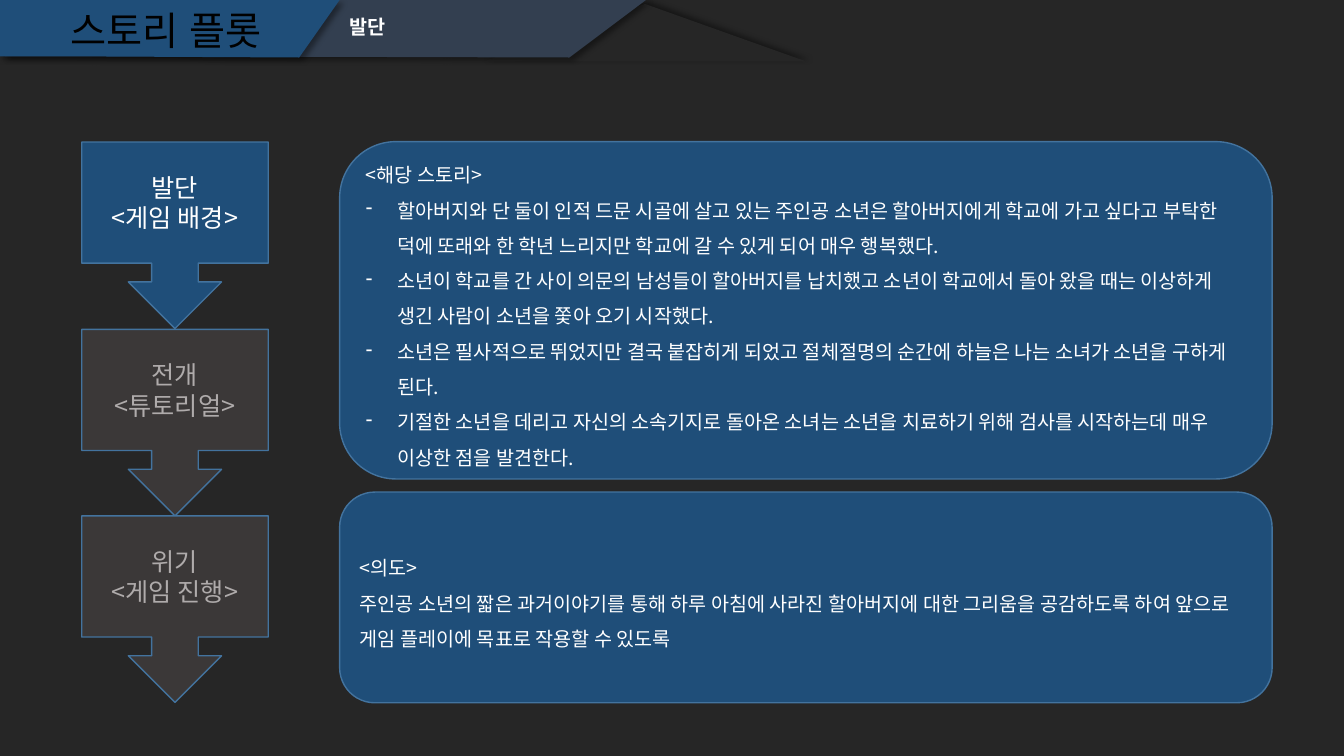
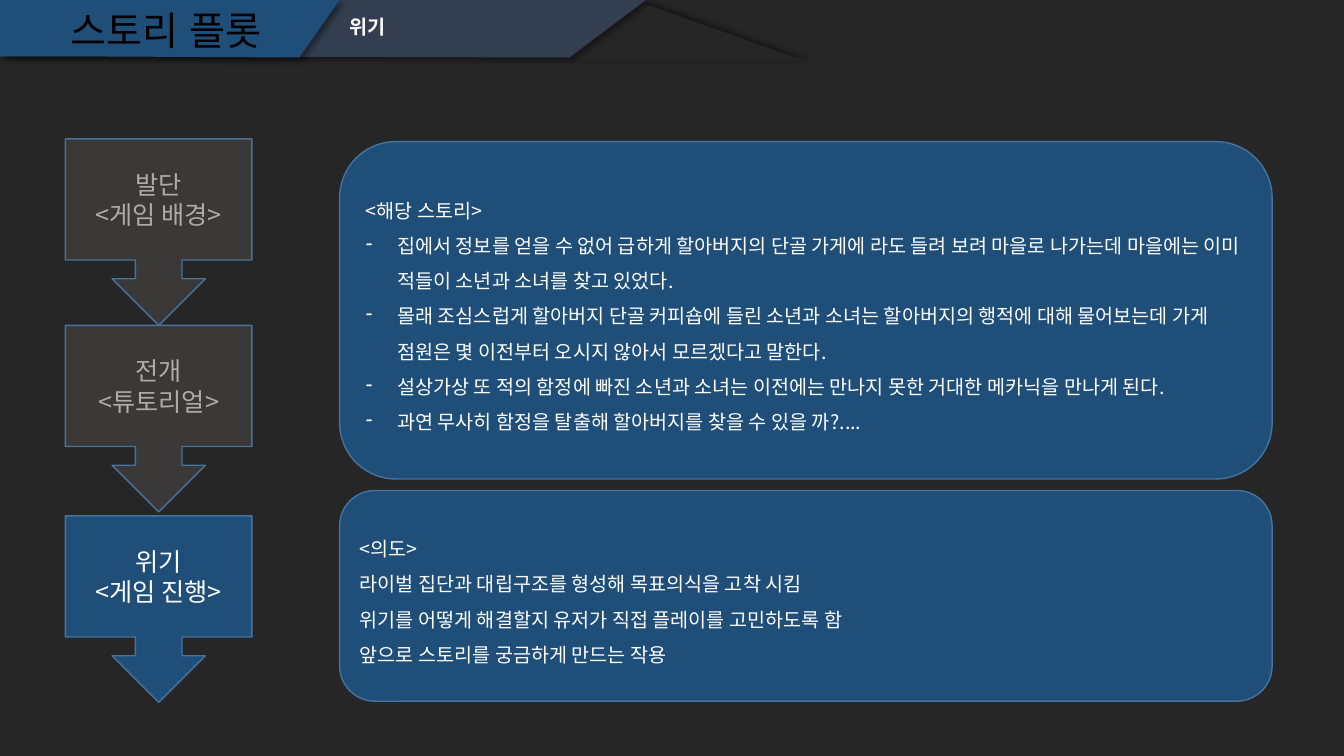
"""Build two story plot slides with a step flow, the story and its intent."""
from lxml.etree import SubElement
from pptx import Presentation
from pptx.dml.color import RGBColor
from pptx.enum.shapes import MSO_SHAPE as Shape
from pptx.enum.text import MSO_ANCHOR as Anchor, PP_ALIGN as Align
from pptx.oxml.ns import qn
from pptx.util import Cm, Pt

COLORS = {
    "background": "262626",
    "blue": "1F4E79",
    "slate": "333F50",
    "gray": "3B3838",
    "outline": "43739E",
    "white": "FFFFFF",
    "dim": "AFABAB",
    "black": "000000",
}
BODY_FONT = "Noto Sans CJK KR"
HEAD_FONT = "Arial"

TITLE = "스토리 플롯"
STEPS = [("발단", "<게임 배경>"), ("전개", "<튜토리얼>"), ("위기", "<게임 진행>")]
BANDS = [
    ("slate", [(0.13, 0), (16.28, 0), (14.35, 1.45), (3.5, 1.42), (0.13, 1.42)]),
    ("blue", [(0, 0), (8.56, 0), (7.54, 1.45), (1.78, 1.42), (0, 1.42)]),
]
STEP_SIZE = 4.7
PANEL_LEFT, PANEL_WIDTH = 8.56, 23.5
STORY_TOP, STORY_HEIGHT = 3.57, 8.5
INTENT_HEIGHT = 5.31

SLIDES = [
    {
        "active": 0,
        "step_left": 2.06,
        "step_tops": (3.58, 8.3, 13),
        "intent_top": 12.4,
        "story": [
            "할아버지와 단 둘이 인적 드문 시골에 살고 있는 주인공 소년은 할아버지에게 학교에 가고 싶다고 부탁한 덕에 또래와 한 학년 느리지만 학교에 갈 수 있게 되어 매우 행복했다.",
            "소년이 학교를 간 사이 의문의 남성들이 할아버지를 납치했고 소년이 학교에서 돌아 왔을 때는 이상하게 생긴 사람이 소년을 쫓아 오기 시작했다.",
            "소년은 필사적으로 뛰었지만 결국 붙잡히게 되었고 절체절명의 순간에 하늘은 나는 소녀가 소년을 구하게 된다.",
            "기절한 소년을 데리고 자신의 소속기지로 돌아온 소녀는 소년을 치료하기 위해 검사를 시작하는데 매우 이상한 점을 발견한다.",
        ],
        "intent": [
            "주인공 소년의 짧은 과거이야기를 통해 하루 아침에 사라진 할아버지에 대한 그리움을 공감하도록 하여 앞으로 게임 플레이에 목표로 작용할 수 있도록",
        ],
    },
    {
        "active": 2,
        "step_left": 1.65,
        "step_tops": (3.5, 8.2, 13),
        "intent_top": 12.36,
        "story": [
            "집에서 정보를 얻을 수 없어 급하게 할아버지의 단골 가게에 라도 들려 보려 마을로 나가는데 마을에는 이미 적들이 소년과 소녀를 찾고 있었다.",
            "몰래 조심스럽게 할아버지 단골 커피숍에 들린 소년과 소녀는 할아버지의 행적에 대해 물어보는데 가게 점원은 몇 이전부터 오시지 않아서 모르겠다고 말한다.",
            "설상가상 또 적의 함정에 빠진 소년과 소녀는 이전에는 만나지 못한 거대한 메카닉을 만나게 된다.",
            "과연 무사히 함정을 탈출해 할아버지를 찾을 수 있을 까?....",
        ],
        "intent": [
            "라이벌 집단과 대립구조를 형성해 목표의식을 고착 시킴",
            "위기를 어떻게 해결할지 유저가 직접 플레이를 고민하도록 함",
            "앞으로 스토리를 궁금하게 만드는 작용",
        ],
    },
]


def rgb(name):
    """Return the named colour."""
    return RGBColor.from_string(COLORS[name])


def paint(shape, fill, line=None):
    """Set a shape's fill and outline and remove its theme shadow."""
    shape.shadow.inherit = False
    shape.fill.solid()
    shape.fill.fore_color.rgb = rgb(fill)
    if line:
        shape.line.color.rgb = rgb(line)
        shape.line.width = Pt(1)
    else:
        shape.line.fill.background()


def cast_shadow(shape, degrees):
    """Give a painted shape a soft outer shadow."""
    effects = shape._element.spPr.find(qn("a:effectLst"))
    shadow = SubElement(effects, qn("a:outerShdw"), blurRad=str(Pt(4)), dist=str(Pt(3)),
                        dir=str(degrees * 60000), algn="ctr", rotWithShape="0")
    color = SubElement(shadow, qn("a:srgbClr"), val=COLORS["black"])
    SubElement(color, qn("a:alpha"), val="40000")


def add_dash(para):
    """Hang a paragraph on a dash bullet."""
    properties = para._p.get_or_add_pPr()
    properties.set("marL", str(Cm(0.79)))
    properties.set("indent", str(-Cm(0.79)))
    SubElement(properties, qn("a:buFontTx"))
    SubElement(properties, qn("a:buChar"), char="-")


def write(shape, lines, *, size, color, font=BODY_FONT, bold=False, align=Align.LEFT,
          anchor=Anchor.MIDDLE, spacing=1.0, dashed=False):
    """Write lines into a shape; dashed adds bullets after the first line."""
    frame = shape.text_frame
    frame.word_wrap = True
    frame.vertical_anchor = anchor
    for index, line in enumerate(lines):
        para = frame.paragraphs[0] if index == 0 else frame.add_paragraph()
        para.alignment = align
        para.line_spacing = spacing
        if dashed and index:
            add_dash(para)
        span = para.add_run()
        span.text = line
        span.font.size = Pt(size)
        span.font.bold = bold
        span.font.name = font
        span.font.color.rgb = rgb(color)
        SubElement(span.font._element, qn("a:ea"), typeface=font)


def add_box(slide, kind, area, fill, line=None):
    """Add a painted preset shape with its area in centimetres."""
    box = slide.shapes.add_shape(kind, *map(Cm, area))
    paint(box, fill, line)
    return box


def add_header(slide, subtitle):
    """Draw the header bands, the title and the subtitle."""
    triangle = add_box(slide, Shape.ISOSCELES_TRIANGLE, (12.19, 0.1, 8.13, 1.45), "background")
    cast_shadow(triangle, 315)
    for color, points in BANDS:
        start, *rest = [(Cm(x), Cm(y)) for x, y in points]
        builder = slide.shapes.build_freeform(*start)
        builder.add_line_segments(rest, close=True)
        band = builder.convert_to_shape()
        paint(band, color)
        cast_shadow(band, 45)
    subtitle_box = slide.shapes.add_textbox(Cm(8.56), Cm(0.33), Cm(4.62), Cm(0.81))
    write(subtitle_box, [subtitle], size=14, color="white", font=HEAD_FONT, bold=True,
          anchor=Anchor.TOP, spacing=0.9)
    title_box = slide.shapes.add_textbox(Cm(1.27), Cm(0.15), Cm(5.82), Cm(1.35))
    write(title_box, [TITLE], size=28, color="black", font=HEAD_FONT, align=Align.CENTER,
          spacing=0.9)


def add_steps(slide, content):
    """Draw the flow of callouts with the active step highlighted."""
    for index, (lines, top) in enumerate(zip(STEPS, content["step_tops"])):
        fill, color = ("blue", "white") if index == content["active"] else ("gray", "dim")
        area = (content["step_left"], top, STEP_SIZE, STEP_SIZE)
        step = add_box(slide, Shape.DOWN_ARROW_CALLOUT, area, fill, "outline")
        write(step, lines, size=18, color=color, align=Align.CENTER)


def add_panel(slide, top, height, lines, dashed=False):
    """Draw a rounded text panel."""
    area = (PANEL_LEFT, top, PANEL_WIDTH, height)
    panel = add_box(slide, Shape.ROUNDED_RECTANGLE, area, "blue", "outline")
    write(panel, lines, size=14, color="white", spacing=1.5, dashed=dashed)


def main():
    """Build and save the deck."""
    deck = Presentation()
    deck.slide_width, deck.slide_height = Cm(33.87), Cm(19.05)
    backdrop = deck.slide_master.background.fill
    backdrop.solid()
    backdrop.fore_color.rgb = rgb("background")
    for content in SLIDES:
        slide = deck.slides.add_slide(deck.slide_layouts[6])
        add_header(slide, STEPS[content["active"]][0])
        add_steps(slide, content)
        add_panel(slide, content["intent_top"], INTENT_HEIGHT, ["<의도>", *content["intent"]])
        add_panel(slide, STORY_TOP, STORY_HEIGHT, ["<해당 스토리>", *content["story"]], dashed=True)
    deck.save("out.pptx")


if __name__ == "__main__":
    main()
